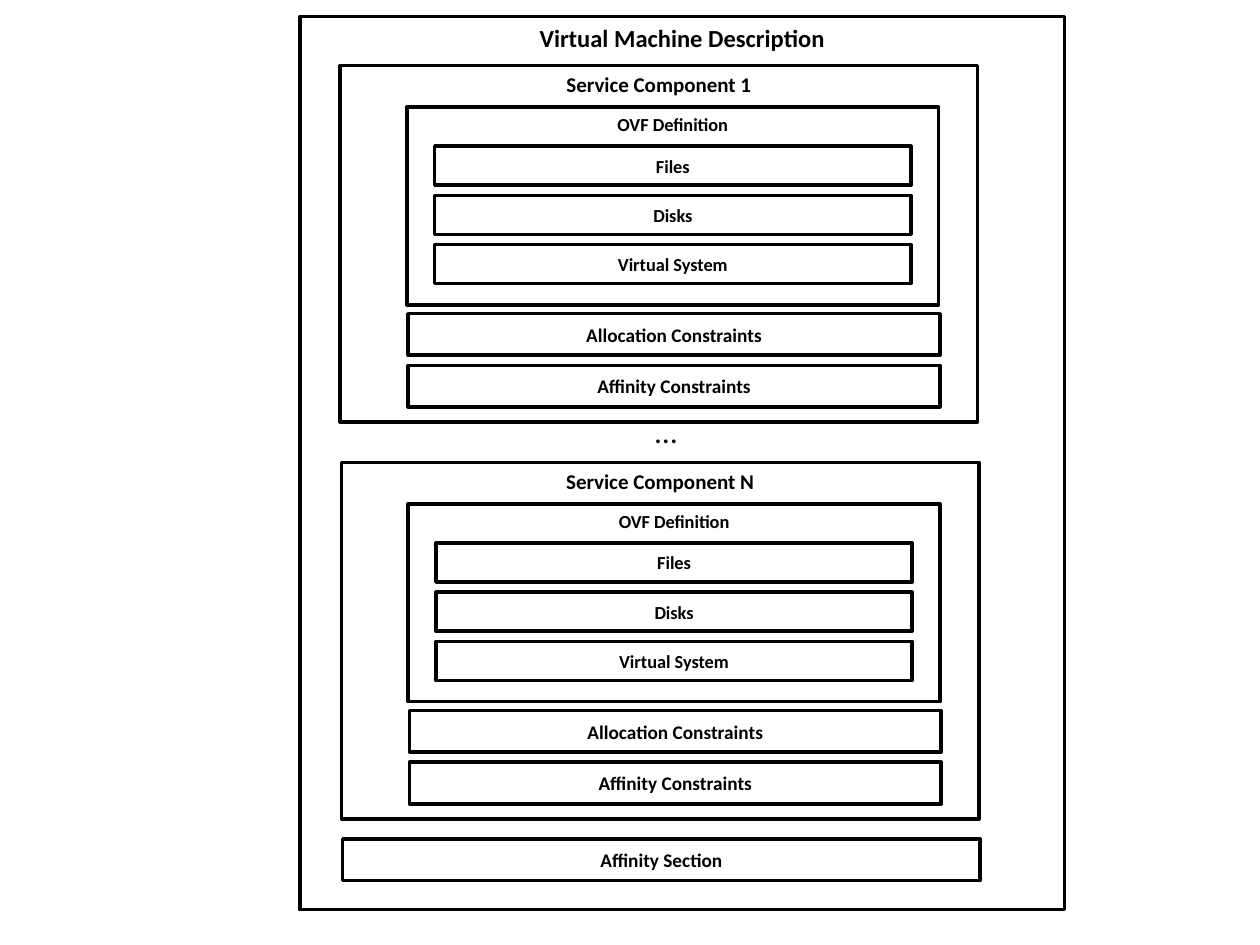
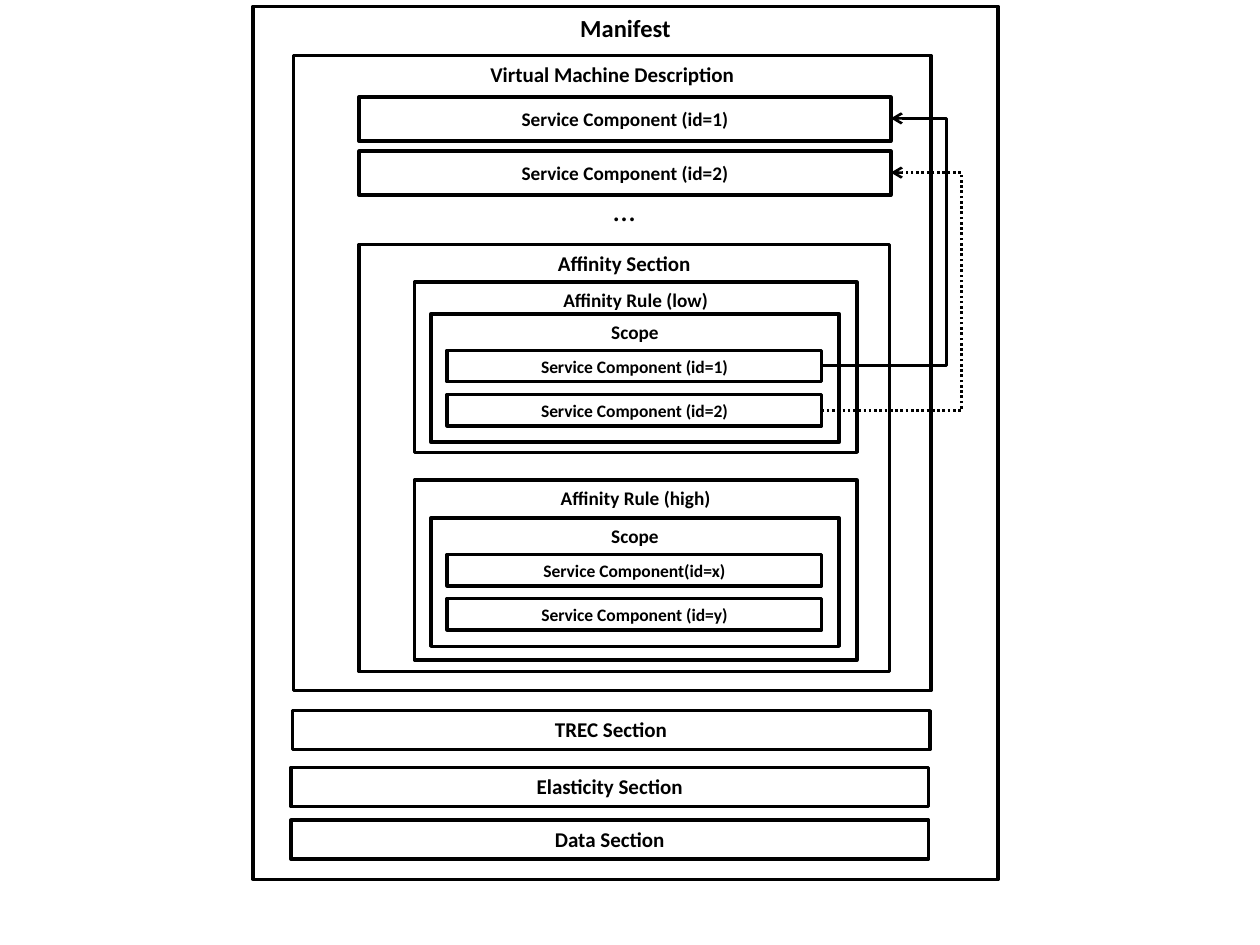
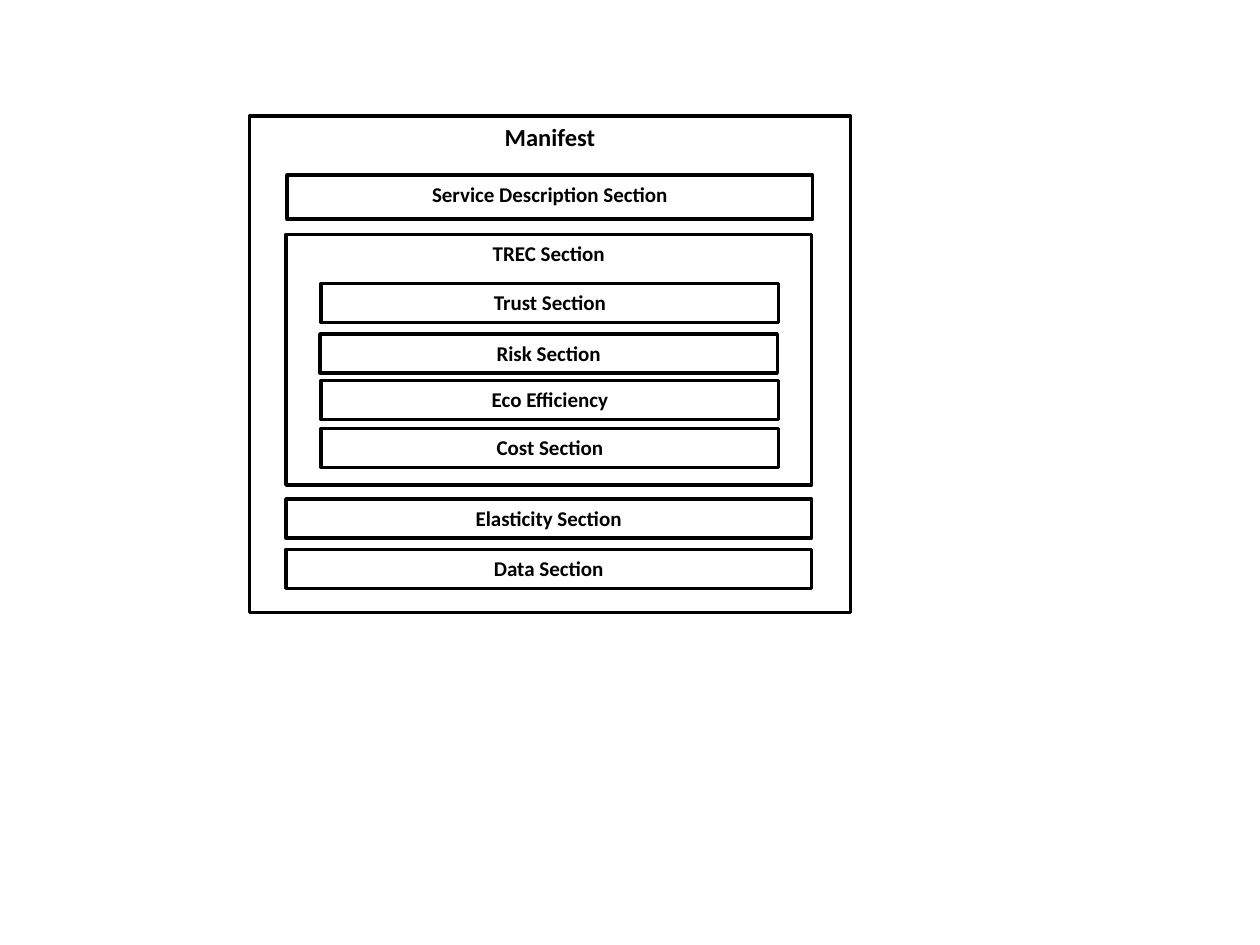
from dataclasses import dataclass

from lxml import etree
from pptx import Presentation
from pptx.dml.color import RGBColor
from pptx.enum.dml import MSO_LINE
from pptx.enum.shapes import MSO_CONNECTOR, MSO_SHAPE
from pptx.enum.text import MSO_ANCHOR, MSO_AUTO_SIZE, PP_ALIGN
from pptx.oxml.ns import qn
from pptx.util import Inches, Pt

RECT = MSO_SHAPE.RECTANGLE
ELBOW = MSO_CONNECTOR.ELBOW
DOT = MSO_LINE.ROUND_DOT
TOP, MID = MSO_ANCHOR.TOP, MSO_ANCHOR.MIDDLE
LEFT, CENTER = PP_ALIGN.LEFT, PP_ALIGN.CENTER
FIXED, GROW = MSO_AUTO_SIZE.NONE, MSO_AUTO_SIZE.SHAPE_TO_FIT_TEXT

WIDE, HIGH = Inches(10), Inches(7.5)
COLS, ROWS = 100, 75
HUES = {"ink": "000000", "page": "FFFFFF"}
FACE = {"name": "Calibri", "bold": True}
PLAIN = {"name": "Calibri", "bold": False}
FRAME = {"auto_size": FIXED, "word_wrap": True}
LOOSE = {"auto_size": GROW, "word_wrap": False, "vertical_anchor": TOP}
EDGE = 2
WIRE = 1.5
BOLD_ROW = 3.1


@dataclass
class Box:
    text: str
    x: float
    y: float
    w: float
    h: float
    size: float = 12
    anchor: MSO_ANCHOR = TOP


@dataclass
class Link:
    x: float
    y: float
    end_x: float
    end_y: float
    bus: float
    dash: MSO_LINE | None = None


def col(n: float) -> int:
    return round(WIDE * n / COLS)


def row(n: float) -> int:
    return round(HIGH * n / ROWS)


def hue(key: str) -> RGBColor:
    return RGBColor.from_string(HUES[key])


def apply(item, style: dict) -> None:
    for key, value in style.items():
        setattr(item, key, value)


def write(shape, text: str, size: float, align: PP_ALIGN, face: dict) -> None:
    line = shape.text_frame.paragraphs[0]
    line.alignment = align
    run = line.add_run()
    run.text = text
    apply(run.font, {**face, "size": Pt(size)})
    run.font.color.rgb = hue("ink")


def place(box: Box) -> dict:
    return {"left": col(box.x), "top": row(box.y),
            "width": col(box.w), "height": row(box.h)}


def dress(shape, box: Box) -> None:
    shape.fill.solid()
    shape.fill.fore_color.rgb = hue("page")
    shape.line.color.rgb = hue("ink")
    shape.line.width = Pt(EDGE)
    apply(shape.text_frame, {**FRAME, "vertical_anchor": box.anchor})
    write(shape, box.text, box.size, CENTER, FACE)


def draw(slide, boxes: list[Box]) -> None:
    for box in boxes:
        shape = slide.shapes.add_shape(RECT, *place(box).values())
        shape.shadow.inherit = False
        dress(shape, box)


def start(deck, box: Box):
    slide = deck.slides.add_slide(deck.slide_layouts[5])
    title = slide.shapes.title
    apply(title, place(box))
    dress(title, box)
    return slide


def dots(slide, x: float, y: float) -> None:
    shape = slide.shapes.add_textbox(col(x), row(y), col(3.8), row(4))
    apply(shape.text_frame, LOOSE)
    write(shape, "…", 18, LEFT, PLAIN)


def join(slide, link: Link) -> None:
    wire = slide.shapes.add_connector(
        ELBOW, col(link.x), row(link.y), col(link.end_x), row(link.end_y))
    wire.line.color.rgb = hue("ink")
    wire.line.width = Pt(WIRE)
    if link.dash:
        wire.line.dash_style = link.dash
    props = wire._element.spPr
    bend = round((link.bus - link.x) / (link.end_x - link.x) * 100000)
    guides = props.find(qn("a:prstGeom")).find(qn("a:avLst"))
    etree.SubElement(guides, qn("a:gd"), name="adj1", fmla=f"val {bend}")
    etree.SubElement(props.find(qn("a:ln")), qn("a:tailEnd"), type="arrow")
    etree.SubElement(props, qn("a:effectLst"))


def stack(names: list[str], first: Box, step: float) -> list[Box]:
    return [Box(name, first.x, first.y + i * step, first.w, first.h,
                first.size, first.anchor) for i, name in enumerate(names)]


def part(mark: str, x: float, y: float) -> list[Box]:
    return [
        Box(f"Service Component {mark}", x, y, 50.6, 28.3),
        Box("OVF Definition", x + 5.3, y + 3.3, 42.2, 15.7, 10.5),
        *stack(["Files", "Disks", "Virtual System"],
               Box("", x + 7.5, y + 6.4, 37.8, BOLD_ROW, 10.5, MID), 3.9),
        *stack(["Allocation Constraints", "Affinity Constraints"],
               Box("", x + 5.4, y + 19.7, 42.2, 3.3, 11, MID), 4.1),
    ]


def rule(level: str, y: float, h: float, scope: float,
         names: list[str]) -> list[Box]:
    return [
        Box(f"Affinity Rule ({level})", 32.9, y, 35.1, h, 11),
        Box("Scope", 34.2, scope, 32.4, 10.2, 11),
        *stack(names, Box("", 35.5, scope + 2.9, 29.7, 2.5, 10, MID), 3.5),
    ]


def machine(deck) -> None:
    slide = start(deck, Box("Virtual Machine Description",
                            23.8, 1.3, 60.7, 70.9, 14))
    draw(slide, part("1", 27, 5.2) + part("N", 27.1, 36.7))
    dots(slide, 51, 32.2)
    draw(slide, [Box("Affinity Section", 27.2, 66.6, 50.6, 3.3, 11, MID)])


def scopes(deck) -> None:
    slide = start(deck, Box("Manifest", 20.1, 0.5, 59.1, 69.3, 14))
    parts = ["Service Component (id=1)", "Service Component (id=2)"]
    others = ["Service Component(id=x)", "Service Component (id=y)"]
    draw(slide, [
        Box("Virtual Machine Description", 23.3, 4.4, 50.6, 50.4),
        *stack(parts, Box("", 28.5, 7.7, 42.2, 3.5, 11, MID), 4.3),
        Box("Affinity Section", 28.5, 19.4, 42.1, 33.9),
        *rule("low", 22.4, 13.5, 24.9, parts),
        *rule("high", 38.1, 14.3, 41.1, others),
        Box("TREC Section", 23.2, 56.4, 50.6, BOLD_ROW),
        *stack(["Elasticity Section", "Data Section"],
               Box("", 23.1, 60.9, 50.6, BOLD_ROW), 4.2),
    ])
    join(slide, Link(65.2, 29, 70.7, 9.4, 75.1))
    join(slide, Link(65.2, 32.6, 70.7, 13.7, 76.3, DOT))
    dots(slide, 47.7, 14.6)


def trec(deck) -> None:
    slide = start(deck, Box("Manifest", 19.8, 9.2, 47.7, 39.4, 14))
    draw(slide, [
        Box("Service Description Section", 22.8, 13.9, 41.7, 3.5),
        Box("TREC Section", 22.7, 18.6, 41.7, 19.9),
        Box("Trust Section", 25.5, 22.5, 36.3, BOLD_ROW),
        Box("Risk Section", 25.4, 26.5, 36.3, BOLD_ROW),
        *stack(["Eco Efficiency", "Cost Section"],
               Box("", 25.5, 30.2, 36.3, BOLD_ROW), 3.8),
        *stack(["Elasticity Section", "Data Section"],
               Box("", 22.7, 39.6, 41.7, BOLD_ROW), 4),
    ])


def main() -> None:
    deck = Presentation()
    apply(deck, {"slide_width": WIDE, "slide_height": HIGH})
    for build in (machine, scopes, trec):
        build(deck)
    deck.save("out.pptx")


if __name__ == "__main__":
    main()
